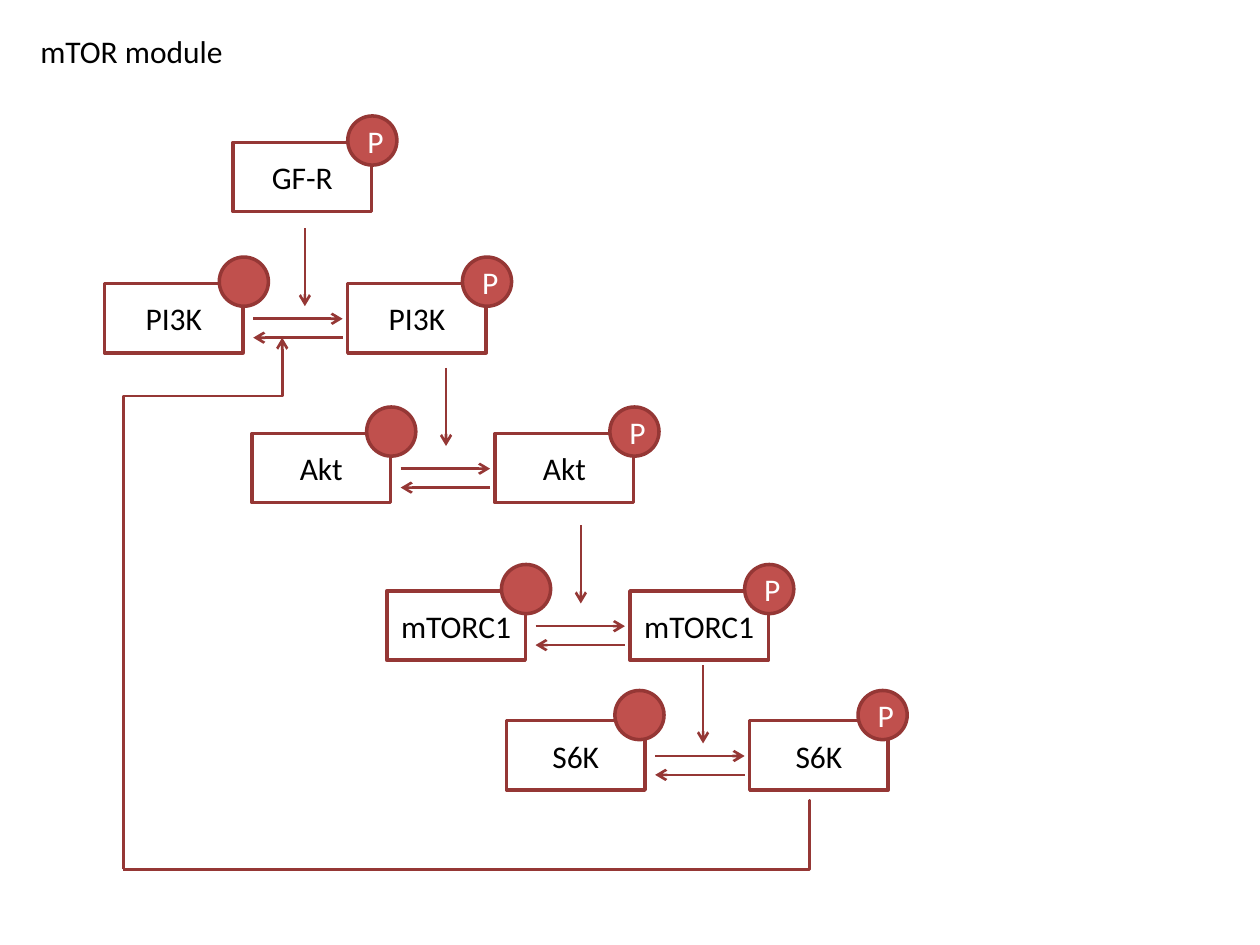
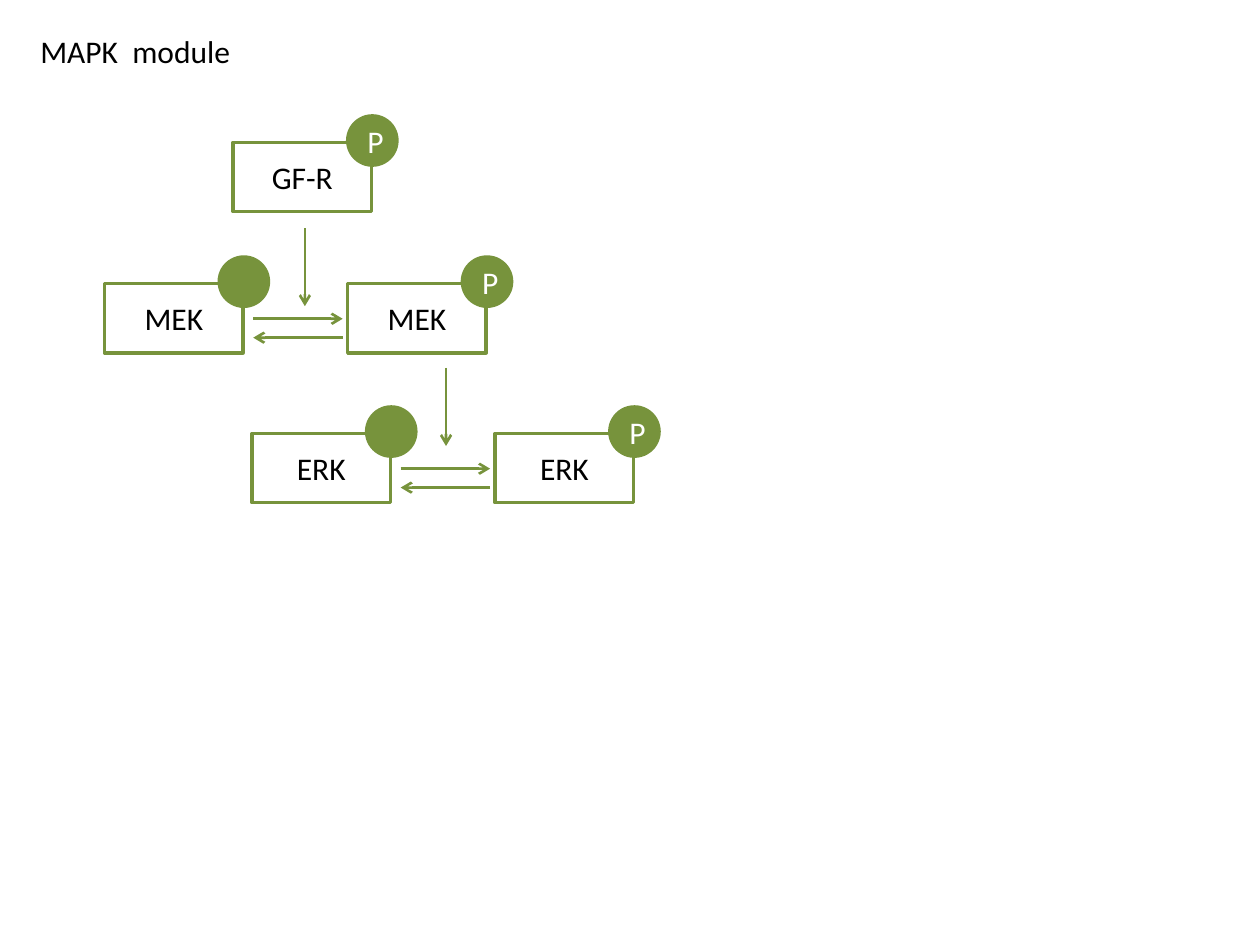
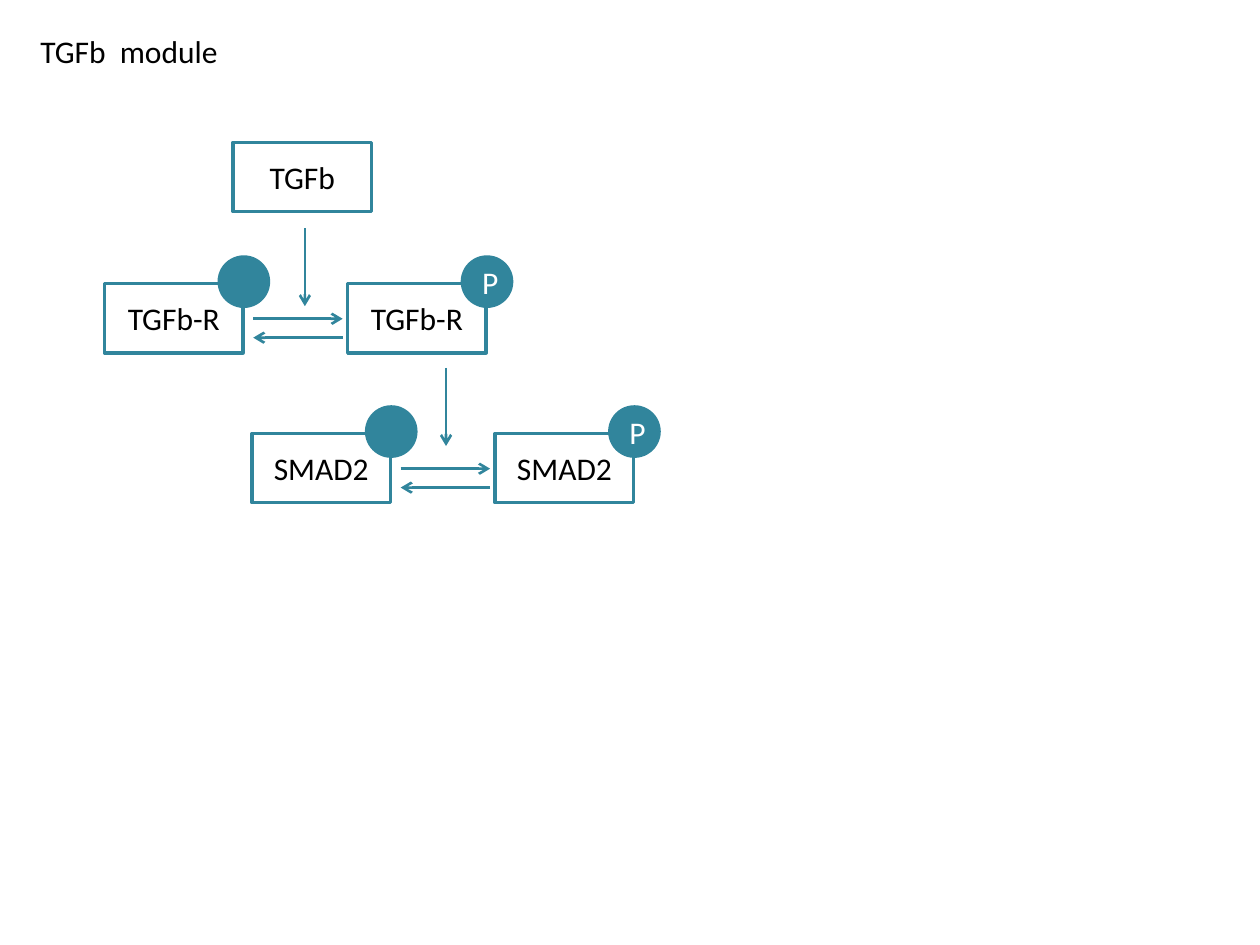
from lxml.etree import SubElement
from pptx import Presentation
from pptx.dml.color import RGBColor
from pptx.enum.shapes import MSO_CONNECTOR, MSO_SHAPE
from pptx.enum.text import MSO_ANCHOR, MSO_AUTO_SIZE, PP_ALIGN
from pptx.oxml.ns import qn
from pptx.util import Inches, Pt

BLACK = RGBColor(0x00, 0x00, 0x00)
WHITE = RGBColor(0xFF, 0xFF, 0xFF)
RED = RGBColor(0xC0, 0x50, 0x4D)
DARK_RED = RGBColor(0x95, 0x37, 0x35)
GREEN = RGBColor(0x77, 0x93, 0x3C)
TEAL = RGBColor(0x31, 0x85, 0x9C)

FONT = "Calibri"
FONT_SIZE = Pt(18)
PROTEIN_W, PROTEIN_H = 1.1, 0.55
BADGE_SIZE = 0.39
BADGE_DX, BADGE_DY = 0.91, -0.21
PARTNER_DX = 1.93
ACTIVATION_LENGTH = 0.62

RECEPTOR_LEFT, RECEPTOR_TOP = 1.85, 1.13
STAGES = [
    (0.83, 2.25, BADGE_DX, BADGE_DY, 2.42, 1.81),
    (2.0, 3.44, BADGE_DX, BADGE_DY, 3.54, 2.92),
    (3.07, 4.69, BADGE_DX, BADGE_DY, 4.61, 4.17),
    (4.02, 5.72, 0.86, -0.24, 5.58, 5.28),
]
MODULES = [
    ("mTOR module", "GF-R", "P", ["PI3K", "Akt", "mTORC1", "S6K"], DARK_RED, RED),
    ("MAPK  module", "GF-R", "P", ["MEK", "ERK"], GREEN, GREEN),
    ("TGFb  module", "TGFb", None, ["TGFb-R", "SMAD2"], TEAL, TEAL),
]


def add_protein(slide, left, top, label, badge_dx, badge_dy, badge_label, line_color, badge_color):
    parts = [(MSO_SHAPE.RECTANGLE, left, top, PROTEIN_W, PROTEIN_H, label, BLACK)]
    if badge_label is not None:
        parts.append((MSO_SHAPE.OVAL, left + badge_dx, top + badge_dy,
                      BADGE_SIZE, BADGE_SIZE, badge_label, WHITE))
    for preset, x, y, width, height, text, text_color in parts:
        part = slide.shapes.add_shape(preset, Inches(x), Inches(y), Inches(width), Inches(height))
        part.shadow.inherit = False
        part.line.color.rgb = line_color
        part.line.width = Pt(2)
        if preset == MSO_SHAPE.OVAL:
            part.fill.solid()
            part.fill.fore_color.rgb = badge_color
        else:
            part.fill.background()
        if text:
            part.text_frame.text = text
            paragraph = part.text_frame.paragraphs[0]
            paragraph.alignment = PP_ALIGN.CENTER
            font = paragraph.runs[0].font
            font.name, font.size = FONT, FONT_SIZE
            font.color.rgb = text_color


def add_reaction(slide, start, end, color, arrowhead=True, bend=None):
    kind = MSO_CONNECTOR.STRAIGHT if bend is None else MSO_CONNECTOR.ELBOW
    reaction = slide.shapes.add_connector(
        kind, Inches(start[0]), Inches(start[1]), Inches(end[0]), Inches(end[1]))
    reaction.line.color.rgb = color
    reaction.line.width = Pt(1.5)
    properties = reaction._element.spPr
    if arrowhead:
        SubElement(properties.find(qn("a:ln")), qn("a:tailEnd"), type="arrow")
    SubElement(properties, qn("a:effectLst"))
    if bend is not None:
        adjustments = properties.find(qn("a:prstGeom")).find(qn("a:avLst"))
        SubElement(adjustments, qn("a:gd"), name="adj1", fmla=f"val {bend}")
    return reaction


prs = Presentation()
prs.slide_width = Inches(10)
prs.slide_height = Inches(7.5)

for module, receptor, receptor_badge, proteins, line_color, badge_color in MODULES:
    slide = prs.slides.add_slide(prs.slide_layouts[5])
    title = slide.shapes.title
    title.left, title.top = Inches(0.22), Inches(0.2)
    title.width, title.height = Inches(4.06), Inches(0.4)
    title.text_frame.text = module
    title.text_frame.word_wrap = True
    title.text_frame.auto_size = MSO_AUTO_SIZE.SHAPE_TO_FIT_TEXT
    title.text_frame.vertical_anchor = MSO_ANCHOR.TOP
    heading = title.text_frame.paragraphs[0]
    heading.alignment = PP_ALIGN.LEFT
    heading.runs[0].font.name = FONT
    heading.runs[0].font.size = FONT_SIZE
    heading.runs[0].font.color.rgb = BLACK

    add_protein(slide, RECEPTOR_LEFT, RECEPTOR_TOP, receptor, BADGE_DX, BADGE_DY,
                receptor_badge, line_color, badge_color)

    for protein, (left, top, badge_dx, badge_dy, signal_x, signal_y) in zip(proteins, STAGES):
        for x, badge_label in ((left, ""), (left + PARTNER_DX, "P")):
            add_protein(slide, x, top, protein, badge_dx, badge_dy,
                        badge_label, line_color, badge_color)
        near, far = left + 1.18, left + 1.89
        add_reaction(slide, (near, top + 0.28), (far, top + 0.28), line_color)
        add_reaction(slide, (far, top + 0.43), (near, top + 0.43), line_color)
        add_reaction(slide, (signal_x, signal_y),
                     (signal_x, signal_y + ACTIVATION_LENGTH), line_color)

    if "S6K" in proteins:
        add_reaction(slide, (6.42, 6.35), (0.98, 6.9), line_color, arrowhead=False, bend=-100)
        feedback = add_reaction(slide, (3.72, 5.42), (-0.5, 4.16), line_color, bend=89000)
        feedback._element.spPr.find(qn("a:xfrm")).set("rot", "5400000")

prs.save("out.pptx")
